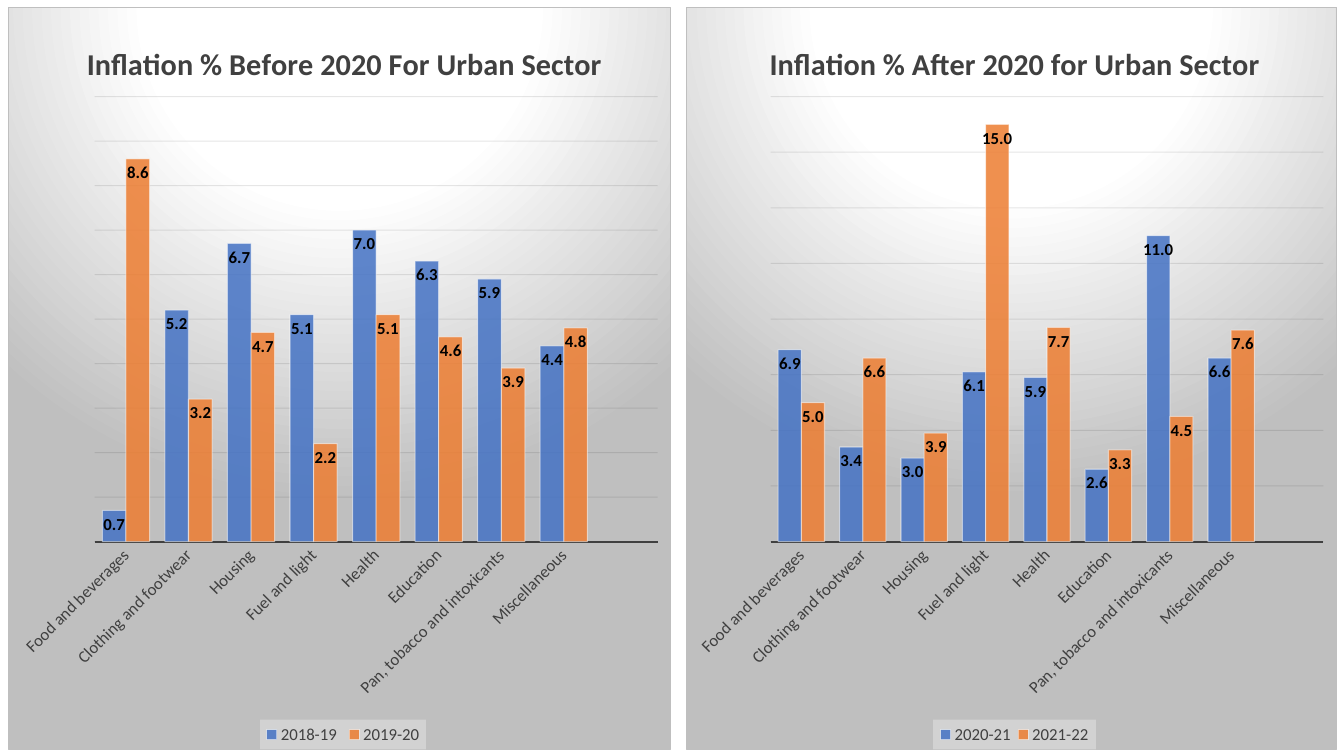
from lxml import etree
from pptx import Presentation
from pptx.chart.data import CategoryChartData
from pptx.dml.color import RGBColor
from pptx.enum.chart import XL_CHART_TYPE as ChartType
from pptx.enum.chart import XL_LABEL_POSITION as LabelPosition
from pptx.enum.chart import XL_LEGEND_POSITION as LegendPosition
from pptx.enum.chart import XL_TICK_MARK as TickMark
from pptx.oxml import parse_xml
from pptx.oxml.ns import nsdecls, qn
from pptx.util import Inches, Pt

FONT = "Calibri"
COLORS = {
    "first_year": "4472C4",
    "second_year": "ED7D31",
    "text": "404040",
    "label": "000000",
    "grid": "0D0D0D",
    "white": "FFFFFF",
    "panel": "BFBFBF",
    "legend": "F2F2F2",
}
CATEGORIES = [
    "Food and beverages", "Clothing and footwear", "Housing", "Fuel and light",
    "Health", "Education", "Pan, tobacco and intoxicants", "Miscellaneous",
    "",  # empty slot at the right end of the axis
]
BEFORE_2020 = {
    "2018-19": [0.7, 5.2, 6.7, 5.1, 7.0, 6.3, 5.9, 4.4, None],
    "2019-20": [8.6, 3.2, 4.7, 2.2, 5.1, 4.6, 3.9, 4.8, None],
}
AFTER_2020 = {
    "2020-21": [6.9, 3.4, 3.0, 6.1, 5.9, 2.6, 11.0, 6.6, None],
    "2021-22": [5.0, 6.6, 3.9, 15.0, 7.7, 3.3, 4.5, 7.6, None],
}


def rgb(name):
    return RGBColor.from_string(COLORS[name])


def style_font(font, size, color, bold=False):
    font.name, font.size, font.bold = FONT, Pt(size), bold
    font.color.rgb = rgb(color)


def style_line(line, color, width):
    line.color.rgb = rgb(color)
    line.width = Pt(width)


def set_alpha(chart, query, percent):
    """Make every colour found by the query partly transparent."""
    for color in chart.element.xpath(query):
        etree.SubElement(color, qn("a:alpha")).set("val", str(percent * 1000))


def set_layout(parent, index, target=None, **fractions):
    """Place a chart part at fractions of the chart's width and height."""
    for old in parent.findall(qn("c:layout")):
        parent.remove(old)
    layout = etree.Element(qn("c:layout"))
    manual = etree.SubElement(layout, qn("c:manualLayout"))
    if target:
        etree.SubElement(manual, qn("c:layoutTarget")).set("val", target)
    for mode in ("xMode", "yMode"):
        etree.SubElement(manual, qn(f"c:{mode}")).set("val", "edge")
    for key, value in fractions.items():
        etree.SubElement(manual, qn(f"c:{key}")).set("val", str(value))
    parent.insert(index, layout)


def fill_background(chart):
    """Radial white to grey gradient centred above the chart."""
    stops = "".join(
        f'<a:gs pos="{pos * 1000}"><a:srgbClr val="{COLORS[color]}"/></a:gs>'
        for pos, color in ((0, "white"), (39, "white"), (100, "panel")))
    chart.element.find(qn("c:chart")).addnext(parse_xml(
        f'<c:spPr {nsdecls("c", "a")}><a:gradFill><a:gsLst>{stops}</a:gsLst>'
        '<a:path path="circle"><a:fillToRect l="50000" t="-80000" r="50000" b="180000"/>'
        '</a:path></a:gradFill><a:ln w="9525"><a:solidFill>'
        f'<a:srgbClr val="{COLORS["panel"]}"/></a:solidFill></a:ln></c:spPr>'))


def style_title(chart, title, left):
    frame = chart.chart_title.text_frame
    frame.text = title
    style_font(frame.paragraphs[0].runs[0].font, 21.6, "text", bold=True)
    set_layout(chart.element.xpath("c:chart/c:title")[0], 1, x=left, y=0.04)


def style_axes(chart, maximum, step):
    categories, values = chart.category_axis, chart.value_axis
    categories.major_tick_mark = categories.minor_tick_mark = TickMark.NONE
    style_font(categories.tick_labels.font, 12, "text")
    style_line(categories.format.line, "text", 1.5)
    chart.element.xpath(".//c:catAx/c:txPr/a:bodyPr")[0].set("rot", "-2700000")

    values.minimum_scale, values.maximum_scale, values.major_unit = 0, maximum, step
    values.has_major_gridlines = True
    style_line(values.major_gridlines.format.line, "grid", 0.75)
    set_alpha(chart, ".//c:majorGridlines//a:srgbClr", 10)
    values.visible = False


def style_columns(chart):
    plot = chart.plots[0]
    plot.gap_width, plot.overlap, plot.vary_by_categories = 65, 0, False
    for series, color in zip(plot.series, ("first_year", "second_year")):
        series.format.fill.solid()
        series.format.fill.fore_color.rgb = rgb(color)
        style_line(series.format.line, "white", 0.75)
        labels = series.data_labels
        labels.show_value = True
        labels.position = LabelPosition.INSIDE_END
        labels.number_format, labels.number_format_is_linked = "0.0", False
        style_font(labels.font, 12, "label", bold=True)
    set_alpha(chart, ".//c:ser/c:spPr/a:solidFill/a:srgbClr", 85)
    set_alpha(chart, ".//c:ser/c:spPr/a:ln//a:srgbClr", 50)


def style_legend(chart):
    chart.has_legend = True
    legend = chart.legend
    legend.position, legend.include_in_layout = LegendPosition.BOTTOM, False
    style_font(legend.font, 12, "text")
    element = chart.element.xpath("c:chart/c:legend")[0]
    set_layout(element, 1, x=0.38, y=0.96, w=0.25, h=0.04)
    element.find(qn("c:txPr")).addprevious(parse_xml(
        f'<c:spPr {nsdecls("c", "a")}><a:solidFill><a:srgbClr val="{COLORS["legend"]}">'
        '<a:alpha val="39000"/></a:srgbClr></a:solidFill></c:spPr>'))


def add_inflation_chart(page, box, title, title_left, years, maximum, step):
    data = CategoryChartData(number_format="0.0")
    data.categories = CATEGORIES
    for year, values in years.items():
        data.add_series(year, values)
    frame = page.shapes.add_chart(
        ChartType.COLUMN_CLUSTERED, *(Inches(side) for side in box), data)
    chart = frame.chart
    style_font(chart.font, 10, "label")
    fill_background(chart)
    style_title(chart, title, title_left)
    style_axes(chart, maximum, step)
    style_columns(chart)
    style_legend(chart)
    set_layout(chart.element.xpath("c:chart/c:plotArea")[0], 0, "inner",
               x=0.13, y=0.12, w=0.85, h=0.6)


def main():
    deck = Presentation()
    deck.slide_width, deck.slide_height = Inches(13.33), Inches(7.5)
    page = deck.slides.add_slide(deck.slide_layouts[6])
    add_inflation_chart(page, (0.08, 0.07, 6.58, 7.37),
                        "Inflation % Before 2020 For Urban Sector", 0.11,
                        BEFORE_2020, 10, 1)
    add_inflation_chart(page, (6.8, 0.07, 6.46, 7.37),
                        "Inflation % After 2020 for Urban Sector", 0.12,
                        AFTER_2020, 16, 2)
    deck.save("out.pptx")


if __name__ == "__main__":
    main()
